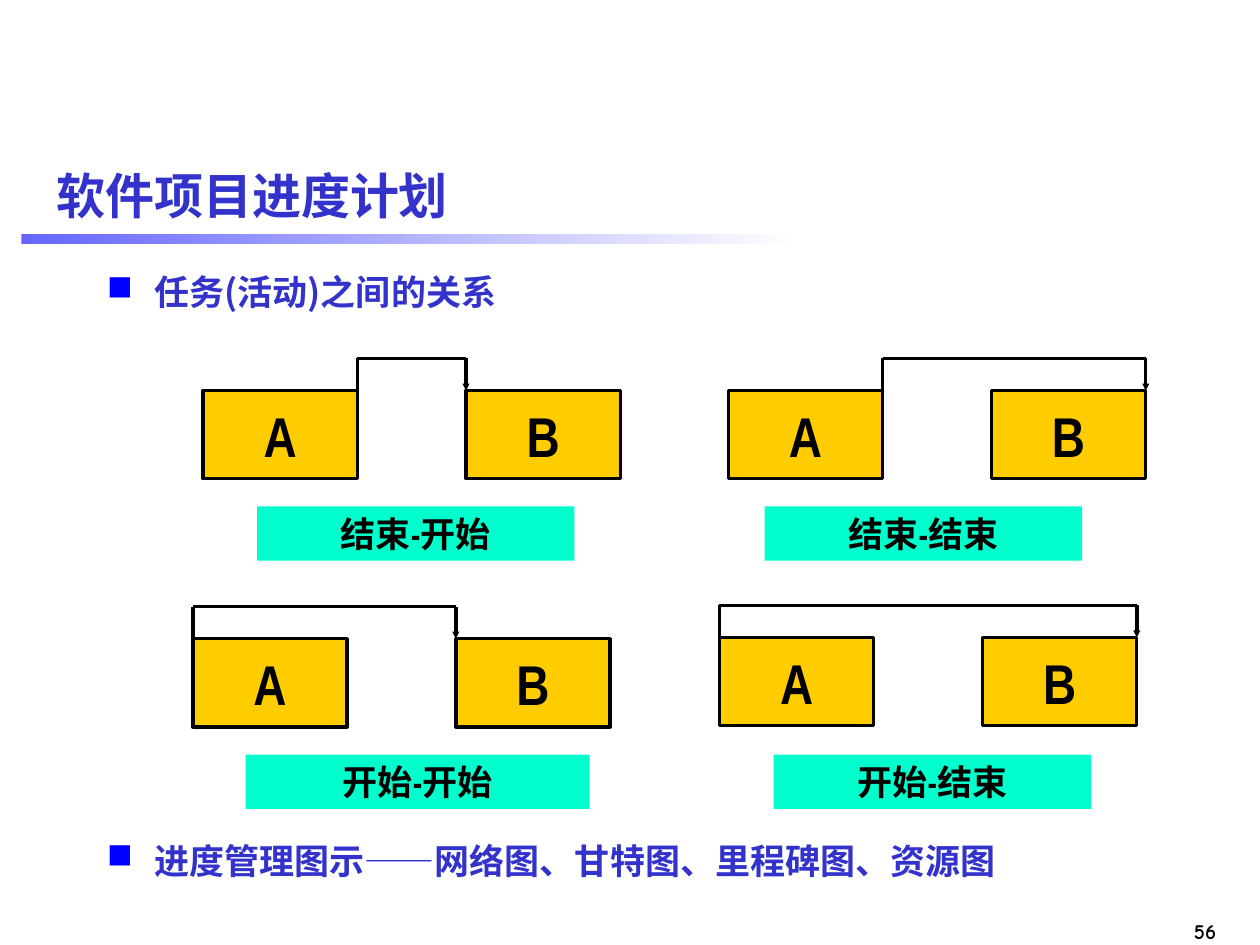
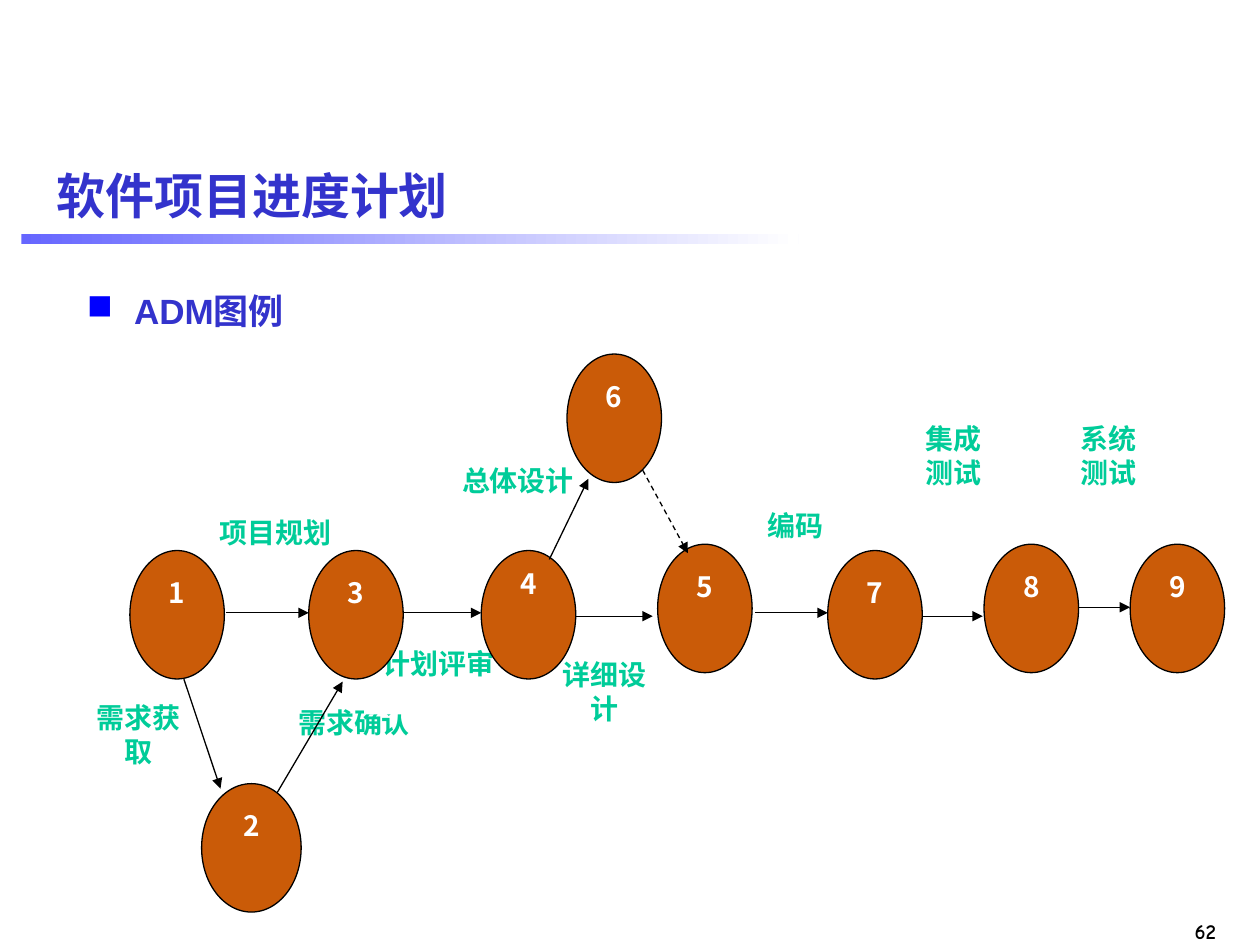
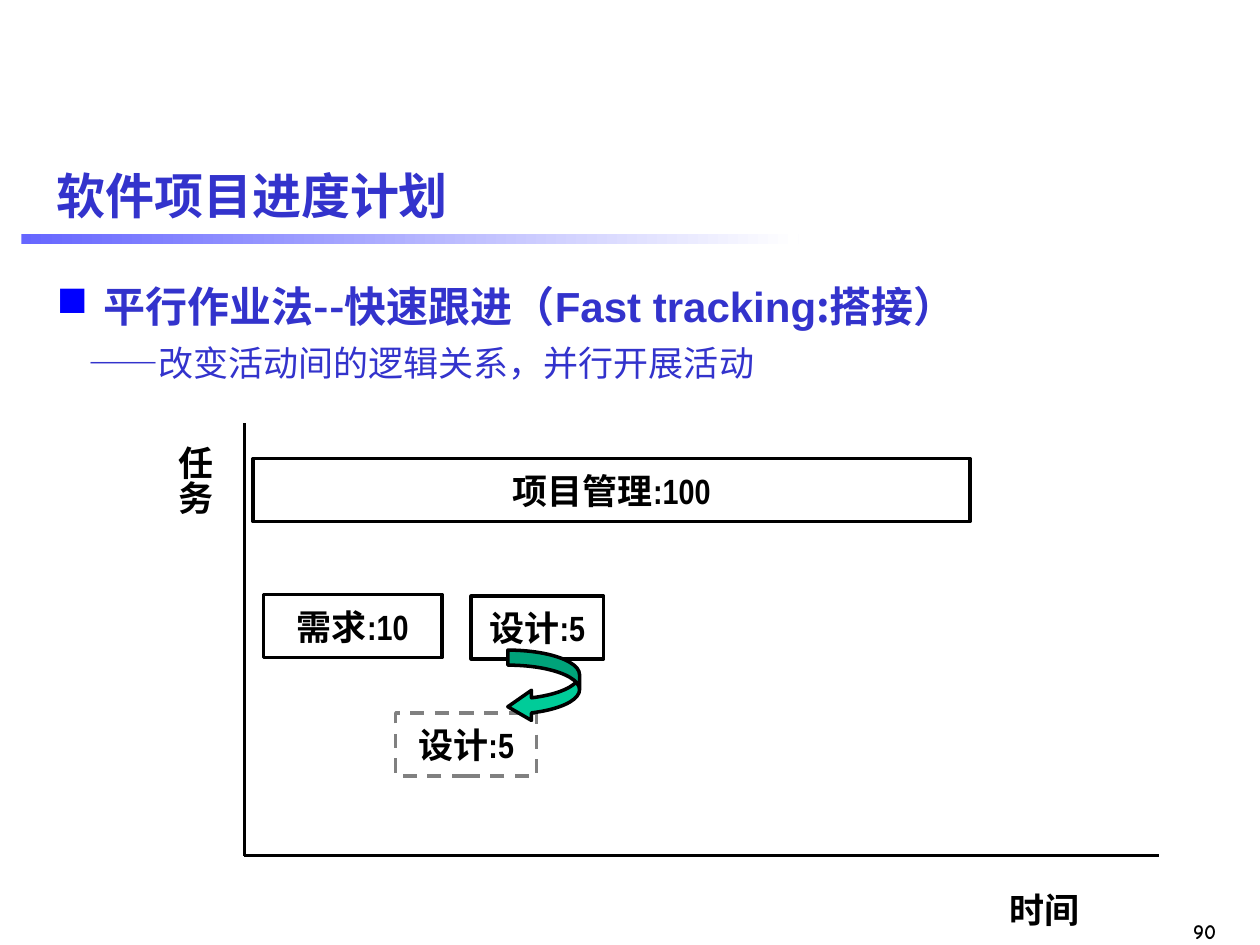
import pptx
import pptx.util
import pptx.dml.color
import pptx.enum.dml
import pptx.enum.shapes
import pptx.enum.text
import pptx.oxml
import pptx.oxml.ns

Pt = pptx.util.Pt
SHAPE = pptx.enum.shapes.MSO_SHAPE
ANCHOR = pptx.enum.text.MSO_ANCHOR
ALIGN = pptx.enum.text.PP_ALIGN
DASH = pptx.enum.dml.MSO_LINE.DASH
NAMESPACE = pptx.oxml.ns.nsdecls("a")
CJK = "Noto Sans CJK SC"
NARROW = "Arial Narrow"

COLOURS = {
    "text": "3333CC",
    "bullet": "0000FF",
    "band": "6666FF",
    "white": "FFFFFF",
    "black": "000000",
    "grey": "808080",
    "task": "FFCC00",
    "relation": "00FFCC",
    "node": "CA5B08",
    "green": "00CC99",
}
COLOURS = {name: pptx.dml.color.RGBColor.from_string(code) for name, code in COLOURS.items()}


def add_box(page, left, top, width, height, preset=None, fill=None, line=None,
            weight=2, align=ALIGN.CENTER, anchor=ANCHOR.TOP, wrap=True):
    place = [Pt(value) for value in (left, top, width, height)]
    if preset is None:
        box = page.shapes.add_textbox(*place)
    else:
        box = page.shapes.add_shape(preset, *place)
        box.shadow.inherit = False
    if fill:
        box.fill.solid()
        box.fill.fore_color.rgb = COLOURS[fill]
    else:
        box.fill.background()
    if line:
        box.line.color.rgb = COLOURS[line]
        box.line.width = Pt(weight)
    else:
        box.line.fill.background()
    box.text_frame.word_wrap = wrap
    box.text_frame.vertical_anchor = anchor
    box.text_frame.paragraphs[0].alignment = align
    return box


def add_span(para, text, size, colour="black", font=NARROW, bold=True):
    span = para.add_run()
    span.text = text
    span.font.size = Pt(size)
    span.font.bold = bold
    span.font.color.rgb = COLOURS[colour]
    span.font.name = font
    span.font._element.find(pptx.oxml.ns.qn("a:latin")).addnext(
        pptx.oxml.parse_xml(f'<a:ea {NAMESPACE} typeface="{CJK}"/>'))


deck = pptx.Presentation()
deck.slide_width = Pt(720)
deck.slide_height = Pt(540)

# number, body left and top, paragraphs of (bulleted, space before, size, spans)
outlines = [
    ("56", 54, 151.2, [
        (True, 0, 20, [("任务(活动)之间的关系", CJK, True)]),
        (True, 301, 20, [("进度管理图示", CJK, True), ("——", "Arial", False),
                         ("网络图、甘特图、里程碑图、资源图", CJK, True)]),
    ]),
    ("62", 42.5, 162, [(True, 0, 20, [("ADM图例", "Arial", True)])]),
    ("90", 25.2, 157, [
        (True, 0, 24, [("平行作业法--快速跟进（", CJK, True),
                       ("Fast tracking", "Arial", True), (":搭接）", CJK, True)]),
        (False, 6, 20, [("——", "Arial", False),
                        ("改变活动间的逻辑关系，并行开展活动", CJK, False)]),
    ]),
]

pages = []
for number, left, top, paragraphs in outlines:
    page = deck.slides.add_slide(deck.slide_layouts[6])
    pages.append(page)

    footer = add_box(page, 662.4, 521.3, 39.6, 21.6, align=ALIGN.RIGHT, wrap=False)
    add_span(footer.text_frame.paragraphs[0], number, 12, font="Comic Neue")

    band = add_box(page, 12.2, 133.9, 444.2, 5.8, SHAPE.RECTANGLE)
    band.fill.gradient()
    band.fill.gradient_angle = 0
    for stop, colour in zip(band.fill.gradient_stops, ("band", "white")):
        stop.color.rgb = COLOURS[colour]

    title = add_box(page, 25.2, 82.8, 680.4, 56.9, align=ALIGN.LEFT, anchor=ANCHOR.MIDDLE)
    add_span(title.text_frame.paragraphs[0], "软件项目进度计划", 28, "text", "Arial")

    body = add_box(page, left, top, 705.6 - left, 540 - top, align=ALIGN.LEFT)
    for index, (bulleted, before, size, spans) in enumerate(paragraphs):
        para = body.text_frame.add_paragraph() if index else body.text_frame.paragraphs[0]
        para.space_before = Pt(before)
        settings = para._p.get_or_add_pPr()
        settings.set("marL", str(Pt(27 if bulleted else 18)))
        settings.set("indent", str(Pt(-27 if bulleted else 0)))
        if bulleted:
            settings.append(pptx.oxml.parse_xml(
                f'<a:buClr {NAMESPACE}><a:srgbClr val="{COLOURS["bullet"]}"/></a:buClr>'))
            settings.append(pptx.oxml.parse_xml(f'<a:buChar {NAMESPACE} char="■"/>'))
        for text, font, bold in spans:
            add_span(para, text, size, "text", font, bold)

relation_page, network_page, schedule_page = pages
lines = []

task_width, task_height, task_step, hook_rise = 88.2, 50.4, 150.3, 18.4
relations = [
    (116, 223.2, "结束-开始", 146.9, 181.4, 1, 0),
    (416.2, 223.2, "结束-结束", 437, 181.4, 1, 1),
    (110.2, 365, "开始-开始", 140.4, 196.6, 0, 0),
    (411.1, 364.3, "开始-结束", 442.1, 181.4, 0, 1),
]
for left, top, name, label_left, label_width, from_end, to_end in relations:
    for index, letter in enumerate("AB"):
        task = add_box(relation_page, left + index * task_step, top, task_width, task_height,
                       SHAPE.RECTANGLE, "task", "black", anchor=ANCHOR.MIDDLE, wrap=False)
        add_span(task.text_frame.paragraphs[0], letter, 32)
    label_top = 289.4 if top < 300 else 431.3
    label = add_box(relation_page, label_left, label_top, label_width, 31,
                    SHAPE.RECTANGLE, "relation")
    add_span(label.text_frame.paragraphs[0], name, 20)
    start = left + from_end * task_width
    end = left + task_step + to_end * task_width
    rise = top - hook_rise
    lines += [
        (relation_page, start, top, start, rise, 2, None, None),
        (relation_page, start, rise, end, rise, 2, None, None),
        (relation_page, end, rise, end, top, 2, None, "sm"),
    ]

activities = [
    ("总体设计", 254.2, 261.4, 83.5, 44.6),
    ("需求确认", 157, 399.6, 90.7, 42.5),
    ("需求获取", 42.5, 396.7, 73.4, 42.5),
    ("系统测试", 603.4, 237.6, 60.5, 87.1),
    ("集成测试", 514.8, 237.6, 60.5, 88.6),
    ("编码", 424.1, 287.3, 61.2, 42.5),
    ("详细设计", 308.2, 372.2, 74.2, 42.5),
    ("计划评审", 208.1, 365.8, 85, 42.5),
    ("项目规划", 115.9, 290.9, 82.8, 42.5),
]
for name, left, top, width, height in activities:
    activity = add_box(network_page, left, top, width, height, SHAPE.RECTANGLE, "white")
    add_span(activity.text_frame.paragraphs[0], name, 16, "green", CJK)

nodes = [
    ("1", 74.2, 314.6, 54, 1),
    ("2", 115.2, 447.8, 56.9, 1),
    ("3", 176.4, 314.6, 54, 1),
    ("6", 324, 202.3, 54, 1),
    ("9", 645.8, 311, 54, 1),
    ("8", 562.3, 311, 54, 1),
    ("7", 473, 314.6, 54, 1),
    ("5", 375.8, 311, 54, 1),
    ("4", 275, 314.6, 54, 0.72),
]
for number, left, top, width, spacing in nodes:
    node = add_box(network_page, left, top, width, 73.4, SHAPE.OVAL, "node", "black", 0.75)
    para = node.text_frame.paragraphs[0]
    para.line_spacing = spacing
    add_span(para, number, 16, "white", CJK)

steps = [
    (128.9, 350.2, 176.4, 350.2),
    (230.4, 350.2, 275, 350.2),
    (329, 352.1, 373, 352.1),
    (431.3, 350.2, 473, 350.2),
    (527, 352.1, 561.6, 352.1),
    (616.3, 347, 645.8, 347),
    (105.1, 388.1, 126, 450.7),
    (158.4, 452.9, 195.8, 389.5),
    (313.9, 319.7, 336.2, 273.6),
]
lines += [(network_page, *step, 0.75, None, "med") for step in steps]
lines.append((network_page, 367.2, 268.6, 393.1, 316.1, 0.75, DASH.DASH, "med"))

bars = [
    ("项目管理:100", 144.7, 262.1, 409.7, "black"),
    ("需求:10", 150.5, 339.8, 102.2, "black"),
    ("设计:5", 269.3, 340.6, 75.6, "black"),
    ("设计:5", 226.1, 407.5, 80.6, "grey"),
]
for name, left, top, width, colour in bars:
    bar = add_box(schedule_page, left, top, width, 36, SHAPE.RECTANGLE, None, colour,
                  anchor=ANCHOR.MIDDLE, wrap=False)
    if colour == "grey":
        bar.line.dash_style = DASH.DASH
    add_span(bar.text_frame.paragraphs[0], name, 20)

move_arrow = add_box(schedule_page, 290.2, 371.5, 41, 41, SHAPE.CURVED_LEFT_ARROW,
                     "green", "black")
for index, value in enumerate((0.21, 0.42, 0.33)):
    move_arrow.adjustments[index] = value

task_axis = add_box(schedule_page, 88, 247.7, 38.9, 154.8, align=ALIGN.LEFT)
task_axis.text_frame._txBody.bodyPr.set("vert", "eaVert")
add_span(task_axis.text_frame.paragraphs[0], "任务", 20)
time_axis = add_box(schedule_page, 521.3, 504, 151.2, 31)
add_span(time_axis.text_frame.paragraphs[0], "时间", 20)

lines += [
    (schedule_page, 139.7, 241.9, 139.7, 488.9, 2, None, None),
    (schedule_page, 139.7, 488.9, 662.4, 488.9, 2, None, None),
]

for page, start_x, start_y, end_x, end_y, weight, dash, head in lines:
    connector = page.shapes.add_connector(
        pptx.enum.shapes.MSO_CONNECTOR.STRAIGHT,
        Pt(start_x), Pt(start_y), Pt(end_x), Pt(end_y))
    connector.line.color.rgb = COLOURS["black"]
    connector.line.width = Pt(weight)
    if dash:
        connector.line.dash_style = dash
    if head:
        connector.line._get_or_add_ln().append(pptx.oxml.parse_xml(
            f'<a:tailEnd {NAMESPACE} type="triangle" w="{head}" len="{head}"/>'))
    connector._element.spPr.append(pptx.oxml.parse_xml(f"<a:effectLst {NAMESPACE}/>"))

deck.save("out.pptx")
